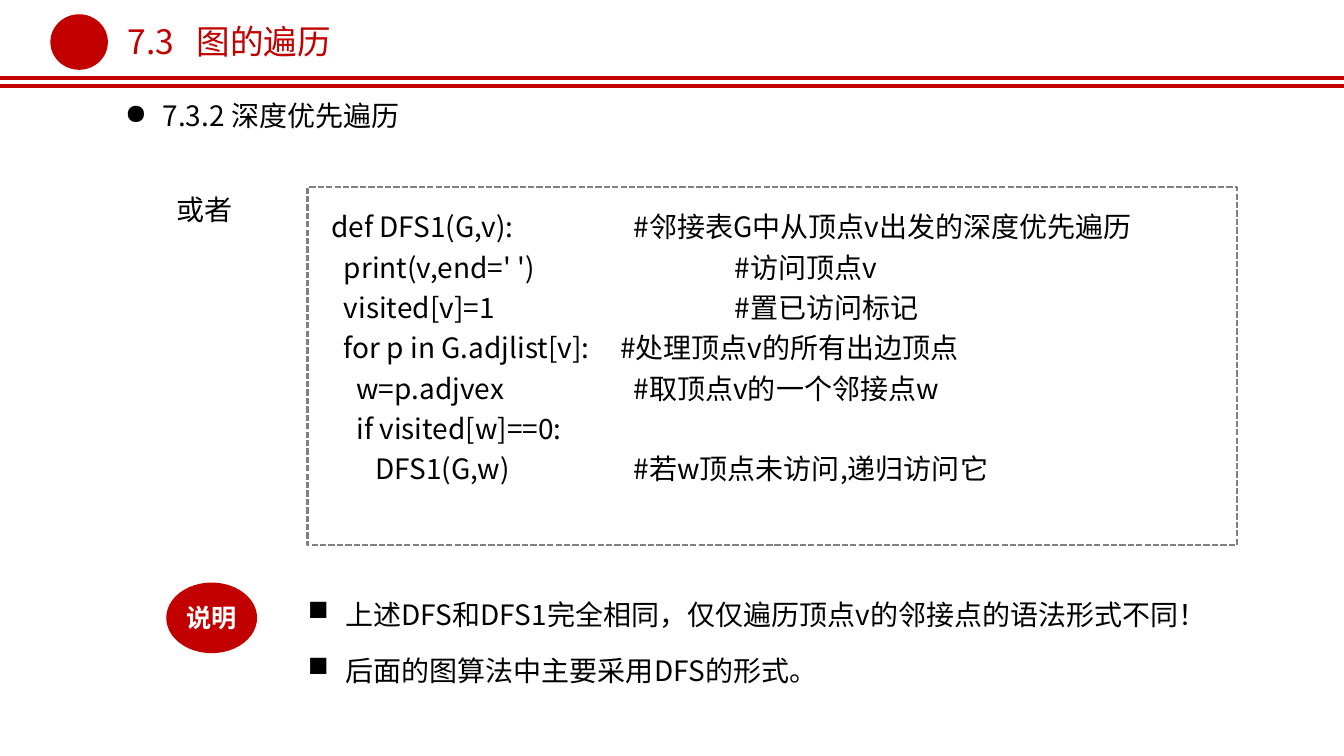
from lxml import etree
from pptx import Presentation
from pptx.dml.color import RGBColor
from pptx.enum.dml import MSO_LINE
from pptx.enum.shapes import MSO_CONNECTOR, MSO_SHAPE
from pptx.enum.text import MSO_ANCHOR, PP_ALIGN
from pptx.oxml.ns import qn
from pptx.util import Cm, Pt

RED = RGBColor(0xC3, 0x00, 0x00)
GRAY = RGBColor(0x80, 0x80, 0x80)
BLACK = RGBColor(0x00, 0x00, 0x00)
WHITE = RGBColor(0xFF, 0xFF, 0xFF)
RECTANGLE, ELLIPSE = MSO_SHAPE.RECTANGLE, MSO_SHAPE.OVAL
STRAIGHT = MSO_CONNECTOR.STRAIGHT
TOP, MIDDLE = MSO_ANCHOR.TOP, MSO_ANCHOR.MIDDLE
LEFT = PP_ALIGN.LEFT
DASH = MSO_LINE.SQUARE_DOT
FONT = "Noto Sans CJK SC"

# Code line, comment, and tab stop of the comment in cm
CODE = [
    ("def DFS1(G,v):", "#邻接表G中从顶点v出发的深度优先遍历", 7.62),
    ("  print(v,end=' ')", "#访问顶点v", 10.16),
    ("  visited[v]=1", "#置已访问标记", 10.16),
    ("  for p in G.adjlist[v]:", "#处理顶点v的所有出边顶点", 7.28),
    ("    w=p.adjvex", "#取顶点v的一个邻接点w", 7.62),
    ("    if visited[w]==0:", "", None),
    ("       DFS1(G,w)", "#若w顶点未访问,递归访问它", 7.62),
]
NOTES = [
    "上述DFS和DFS1完全相同，仅仅遍历顶点v的邻接点的语法形式不同！",
    "后面的图算法中主要采用DFS的形式。",
]


def write(para, text, size=20, color=BLACK, bold=False, spacing=None,
          before=None, bullet=None, tab=None):
    """Fill one paragraph with text in the given format."""
    para.alignment = LEFT
    if spacing is not None:
        para.line_spacing = spacing
    if before is not None:
        para.space_before = before
    properties = para._p.get_or_add_pPr()
    if bullet:
        properties.set("marL", str(Cm(0.95)))
        properties.set("indent", str(-Cm(0.95)))
        etree.SubElement(properties, qn("a:buChar"), char=bullet)
    if tab:
        stops = etree.SubElement(properties, qn("a:tabLst"))
        etree.SubElement(stops, qn("a:tab"), pos=str(Cm(tab)), algn="l")
    span = para.add_run()
    span.text = text
    span.font.size = Pt(size)
    span.font.bold = bold
    span.font.color.rgb = color
    span.font.name = FONT
    etree.SubElement(span.font._element, qn("a:ea"), typeface=FONT)


class SlideBuilder:
    def __init__(self, slide):
        self.shapes = slide.shapes

    def rule(self, y, width):
        line = self.shapes.add_connector(STRAIGHT, 0, Cm(y), width, Cm(y))
        line.line.color.rgb = RED
        line.line.width = Pt(3)
        etree.SubElement(line._element.spPr, qn("a:effectLst"))

    def shape(self, kind, left, top, width, height, fill=None):
        shape = self.shapes.add_shape(kind, Cm(left), Cm(top), Cm(width), Cm(height))
        shape.shadow.inherit = False
        shape.line.fill.background()
        if fill is None:
            shape.fill.background()
        else:
            shape.fill.solid()
            shape.fill.fore_color.rgb = fill
        return shape

    def dashed_box(self, left, top, width, height):
        box = self.shape(RECTANGLE, left, top, width, height)
        box.line.color.rgb = GRAY
        box.line.width = Pt(1.5)
        box.line.dash_style = DASH
        return self.frame(box, 0.6, 0.4)

    def text_box(self, left, top, width, height, inset=(0.25, 0.13), **layout):
        box = self.shapes.add_textbox(Cm(left), Cm(top), Cm(width), Cm(height))
        return self.frame(box, *inset, **layout)

    def frame(self, box, side, edge, anchor=TOP, wrap=True):
        frame = box.text_frame
        frame.word_wrap = wrap
        frame.vertical_anchor = anchor
        frame.margin_left, frame.margin_right = Cm(side), Cm(0.25)
        frame.margin_top = frame.margin_bottom = Cm(edge)
        return frame

    def paragraph(self, frame, index):
        return frame.add_paragraph() if index else frame.paragraphs[0]


def main():
    deck = Presentation()
    deck.slide_width, deck.slide_height = Cm(33.87), Cm(19.05)
    page = SlideBuilder(deck.slides.add_slide(deck.slide_layouts[6]))

    # Header: double rule, emblem and title
    for y in (1.96, 2.16):
        page.rule(y, deck.slide_width)
    page.shape(ELLIPSE, 1.27, 0.36, 1.45, 1.4, RED)
    title = page.text_box(2.97, 0.41, 5.64, 1.27, anchor=MIDDLE, wrap=False)
    write(title.paragraphs[0], "7.3\t图的遍历", size=24, color=RED, tab=1.74)

    # Section heading and label
    heading = page.text_box(2.9, 2.36, 13.46, 1.12)
    write(heading.paragraphs[0], "7.3.2 深度优先遍历", bullet="●")
    label = page.text_box(4.19, 4.72, 2.49, 1.12)
    write(label.paragraphs[0], "或者")

    # Code listing
    listing = page.dashed_box(7.75, 4.72, 23.42, 9.02)
    for index, (code, comment, tab) in enumerate(CODE):
        text = f"{code}\t{comment}" if comment else code
        write(page.paragraph(listing, index), text, spacing=1.2, tab=tab)

    # Explanation badge and notes
    page.shape(ELLIPSE, 4.19, 14.68, 2.29, 1.78, RED)
    badge = page.text_box(4.45, 15.04, 1.8, 1.02, wrap=False)
    write(badge.paragraphs[0], "说明", size=18, color=WHITE, bold=True)
    notes = page.text_box(7.26, 14.61, 24.05, 3.02, inset=(0.5, 0.3))
    for index, note in enumerate(NOTES):
        write(page.paragraph(notes, index), note, spacing=Pt(28),
              before=Pt(12) if index else None, bullet="■")

    deck.save("out.pptx")


if __name__ == "__main__":
    main()
